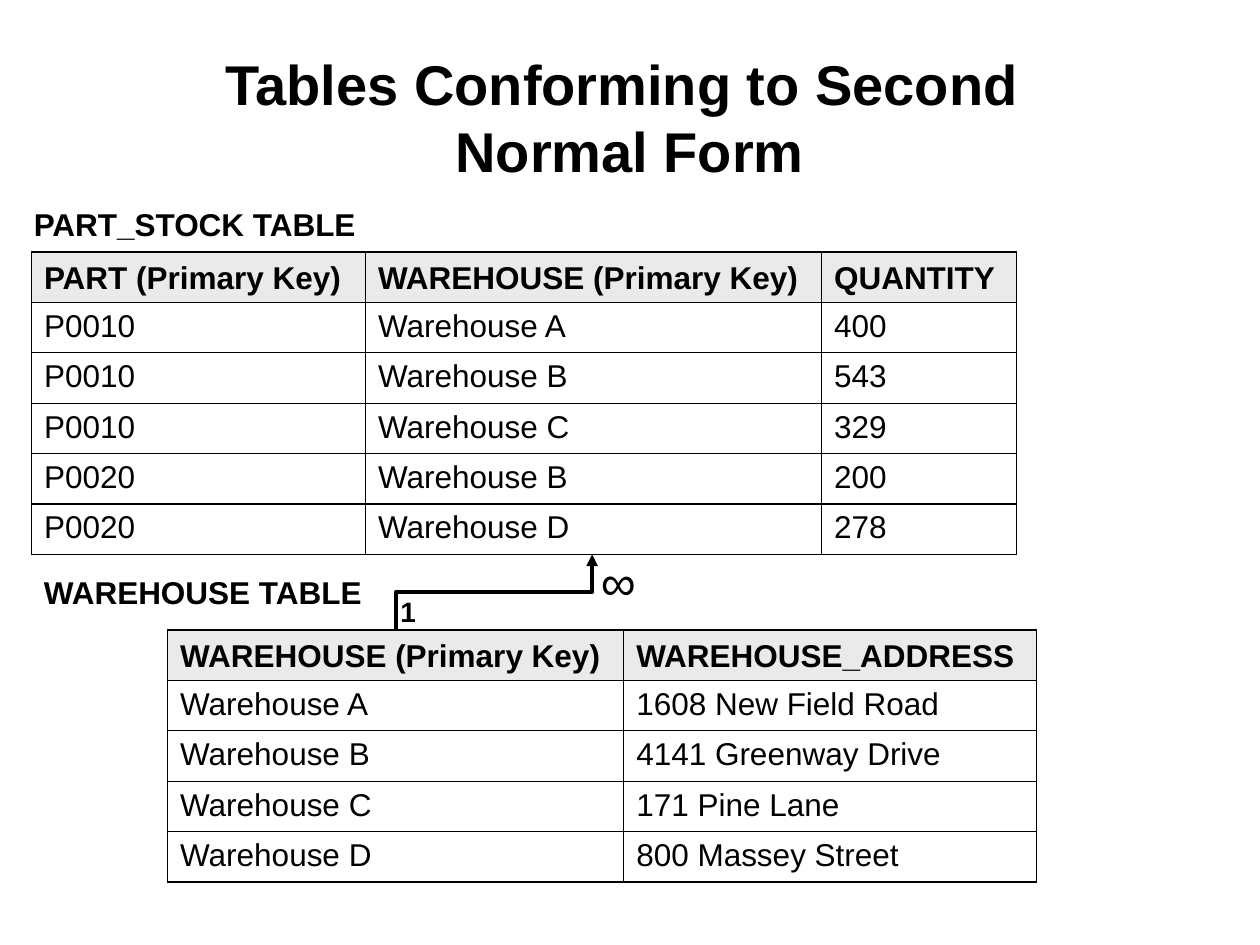
from lxml import etree
from pptx import Presentation
from pptx import util as u
from pptx.dml.color import RGBColor
from pptx.enum import shapes, text
from pptx.oxml import ns

HUES = {"ink": "000000", "head": "EAEAEA", "page": "FFFFFF"}
ROW = 0.4


def write(frame, words, size=18, bold=False, align=text.PP_ALIGN.LEFT,
          anchor=text.MSO_ANCHOR.TOP):
    frame.vertical_anchor = anchor
    para = frame.paragraphs[0]
    para.text = words
    para.alignment = align
    for run in para.runs:
        run.font.name = "Arial"
        run.font.size = u.Pt(size)
        run.font.bold = bold
        run.font.color.rgb = RGBColor.from_string(HUES["ink"])


def edge(cell):
    """Draw a thin line on all four sides of a cell; call before filling it."""
    props = cell._tc.get_or_add_tcPr()
    for side in ("a:lnL", "a:lnR", "a:lnT", "a:lnB"):
        line = etree.SubElement(props, ns.qn(side), w=str(u.Pt(0.75)))
        fill = etree.SubElement(line, ns.qn("a:solidFill"))
        etree.SubElement(fill, ns.qn("a:srgbClr"), val=HUES["ink"])


deck = Presentation()
deck.slide_width, deck.slide_height = u.Inches(10), u.Inches(7.5)
slide = deck.slides.add_slide(deck.slide_layouts[6])

# Tables: left, top, column widths, rows
stock = (0.25, 2, (2.65, 3.62, 1.55), [
    ("PART (Primary Key)", "WAREHOUSE (Primary Key)", "QUANTITY"),
    ("P0010", "Warehouse A", "400"),
    ("P0010", "Warehouse B", "543"),
    ("P0010", "Warehouse C", "329"),
    ("P0020", "Warehouse B", "200"),
    ("P0020", "Warehouse D", "278"),
])
house = (1.33, 5, (3.62, 3.28), [
    ("WAREHOUSE (Primary Key)", "WAREHOUSE_ADDRESS"),
    ("Warehouse A", "1608 New Field Road"),
    ("Warehouse B", "4141 Greenway Drive"),
    ("Warehouse C", "171 Pine Lane"),
    ("Warehouse D", "800 Massey Street"),
])
for left, top, widths, rows in (stock, house):
    grid = slide.shapes.add_table(
        len(rows), len(widths), u.Inches(left), u.Inches(top),
        u.Inches(sum(widths)), u.Inches(ROW * len(rows))).table
    for col, width in zip(grid.columns, widths):
        col.width = u.Inches(width)
    for r, row in enumerate(rows):
        grid.rows[r].height = u.Inches(ROW)
        for c, words in enumerate(row):
            cell = grid.cell(r, c)
            edge(cell)
            cell.fill.solid()
            cell.fill.fore_color.rgb = RGBColor.from_string(
                HUES["page" if r else "head"])
            write(cell.text_frame, words, bold=r == 0)
            if r == 0:
                cell.vertical_anchor = text.MSO_ANCHOR.BOTTOM

# Link from the warehouse key up to the stock table: an elbow turned upright
link = slide.shapes.add_connector(
    shapes.MSO_CONNECTOR.ELBOW, u.Inches(3.62), u.Inches(3.92),
    u.Inches(4.22), u.Inches(5.48))
link.line.width = u.Pt(2.25)
link.line.color.rgb = RGBColor.from_string(HUES["ink"])
props = link._element.spPr
props.xfrm.set("rot", str(270 * 60000))
etree.SubElement(props.find(ns.qn("a:ln")), ns.qn("a:tailEnd"), type="triangle")
etree.SubElement(props, ns.qn("a:effectLst"))

# Title, table names and the two ends of the link
mid = text.MSO_ANCHOR.MIDDLE
labels = [
    ("Tables Conforming to Second \vNormal Form", (0.5, 0.3, 9, 1.25), True,
     dict(size=32, bold=True, align=text.PP_ALIGN.CENTER, anchor=mid)),
    ("PART_STOCK TABLE", (0.17, 1.58, 2.87, 0.4), True,
     dict(bold=True, anchor=mid)),
    ("WAREHOUSE TABLE", (0.25, 4.5, 2.76, 0.4), False,
     dict(bold=True, anchor=mid)),
    ("1", (3.08, 4.67, 0.27, 0.37), True, dict(size=16, bold=True)),
    ("∞", (4.67, 4.33, 0.48, 0.57), True, dict(size=28)),
]
for words, spot, wrap, form in labels:
    box = slide.shapes.add_textbox(*map(u.Inches, spot))
    box.text_frame.word_wrap = wrap
    write(box.text_frame, words, **form)

deck.save("out.pptx")
